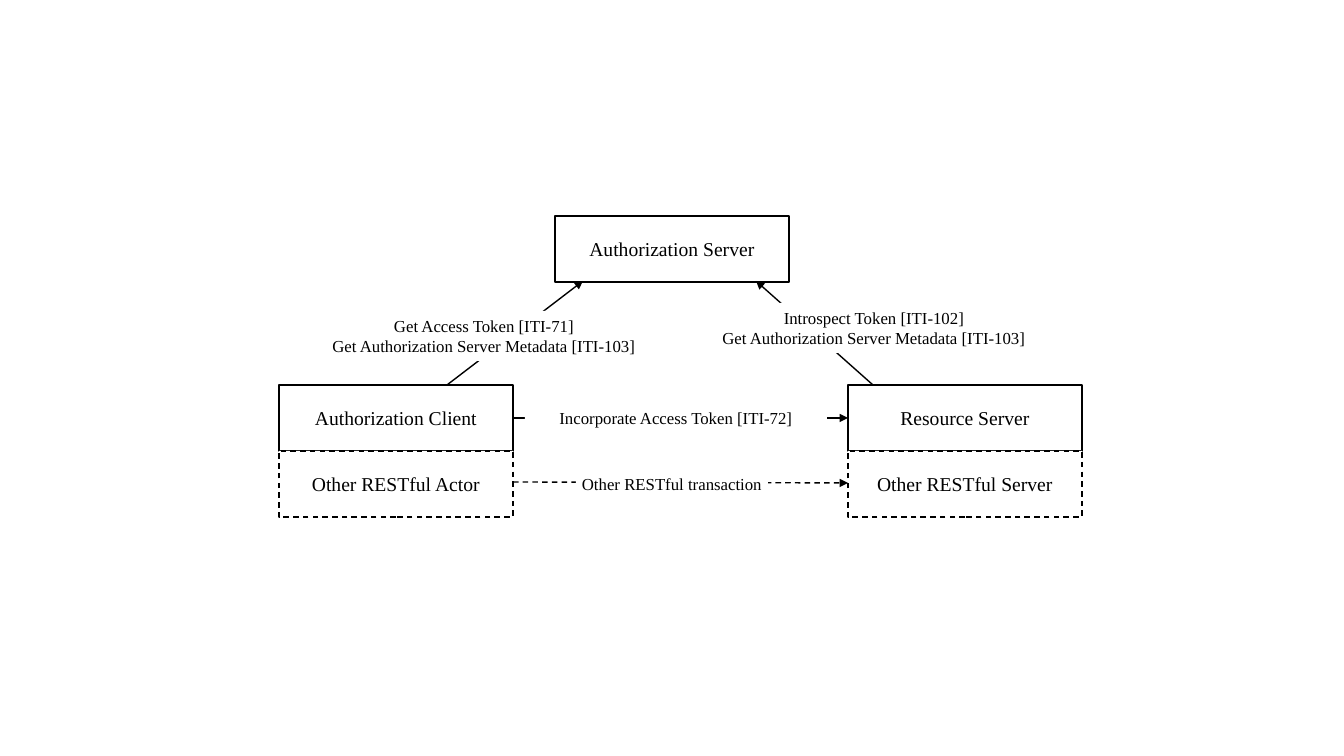
"""Build the authorization actor and transaction diagram slide."""
import pptx
import pptx.dml.color
import pptx.enum.dml
import pptx.enum.shapes
import pptx.enum.text
import pptx.oxml
import pptx.oxml.ns
import pptx.util

EMU_PER_PX = 914400 / 100.8
SOLID = pptx.enum.dml.MSO_LINE.SOLID
DASH = pptx.enum.dml.MSO_LINE.DASH
BOX_W, BOX_H = 234, 66
CLIENT_X, AUTH_X, RESOURCE_X = 279, 555, 848
AUTH_Y, MAIN_Y, OTHER_Y = 216, 385, 451


def px(*lengths):
    return [pptx.util.Emu(round(n * EMU_PER_PX)) for n in lengths]


def rgb(color):
    return pptx.dml.color.RGBColor.from_string(color)


prs = pptx.Presentation()
prs.slide_width, prs.slide_height = px(1344, 756)
s = prs.slides.add_slide(prs.slide_layouts[6])

actors = [
    ("Authorization Server", AUTH_X, AUTH_Y, SOLID),
    ("Authorization Client", CLIENT_X, MAIN_Y, SOLID),
    ("Resource Server", RESOURCE_X, MAIN_Y, SOLID),
    ("Other RESTful Actor", CLIENT_X, OTHER_Y, DASH),
    ("Other RESTful Server", RESOURCE_X, OTHER_Y, DASH),
]
for name, x, y, dash in actors:
    sp = s.shapes.add_shape(pptx.enum.shapes.MSO_SHAPE.RECTANGLE, *px(x, y, BOX_W, BOX_H))
    sp.shadow.inherit = False
    sp.fill.solid()
    sp.fill.fore_color.rgb = rgb("FFFFFF")
    sp.line.color.rgb = rgb("000000")
    sp.line.width = pptx.util.Pt(1)
    sp.line.dash_style = dash
    tf = sp.text_frame
    tf.vertical_anchor = pptx.enum.text.MSO_ANCHOR.MIDDLE
    p = tf.paragraphs[0]
    p.text = name
    p.alignment = pptx.enum.text.PP_ALIGN.CENTER
    p.font.name = "Times New Roman"
    p.font.size = pptx.util.Pt(14)
    p.font.color.rgb = rgb("000000")

auth_bottom = AUTH_Y + BOX_H - 1
client_right = CLIENT_X + BOX_W
arrows = [
    (447, MAIN_Y, 583, auth_bottom, SOLID),
    (client_right, 418, RESOURCE_X, 418, SOLID),
    (873, MAIN_Y, 756, auth_bottom, SOLID),
    (client_right, 482, RESOURCE_X, 483, DASH),
]
for *ends, dash in arrows:
    cxn = s.shapes.add_connector(pptx.enum.shapes.MSO_CONNECTOR.STRAIGHT, *px(*ends))
    cxn.line.color.rgb = rgb("000000")
    cxn.line.width = pptx.util.Pt(1)
    cxn.line.dash_style = dash
    ln = cxn.line._get_or_add_ln()
    ln.append(pptx.oxml.parse_xml(f'<a:tailEnd {pptx.oxml.ns.nsdecls("a")} type="triangle"/>'))
    ln.addnext(pptx.oxml.parse_xml(f'<a:effectLst {pptx.oxml.ns.nsdecls("a")}/>'))

metadata = "Get Authorization Server Metadata [ITI-103]"
labels = [
    (["Introspect Token [ITI-102]", metadata], 710, 303, 328, 50, 10, False),
    (["Get Access Token [ITI-71]", metadata], 320, 311, 328, 50, 10, False),
    (["Incorporate Access Token [ITI-72]"], 525, 403, 302, 30, 0, True),
    (["Other RESTful transaction"], 576, 469, 192, 30, 4, True),
]
for lines, x, y, w, h, inset, wrap in labels:
    sp = s.shapes.add_textbox(*px(x, y, w, h))
    sp.fill.solid()
    sp.fill.fore_color.rgb = rgb("FFFFFF")
    tf = sp.text_frame
    tf.word_wrap = wrap
    tf.auto_size = pptx.enum.text.MSO_AUTO_SIZE.SHAPE_TO_FIT_TEXT
    tf.margin_left, tf.margin_right = px(inset, inset)
    tf.text = "\n".join(lines)
    for p in tf.paragraphs:
        p.alignment = pptx.enum.text.PP_ALIGN.CENTER
        p.font.name = "Times New Roman"
        p.font.size = pptx.util.Pt(12)
        p.font.color.rgb = rgb("000000")

prs.save("out.pptx")
